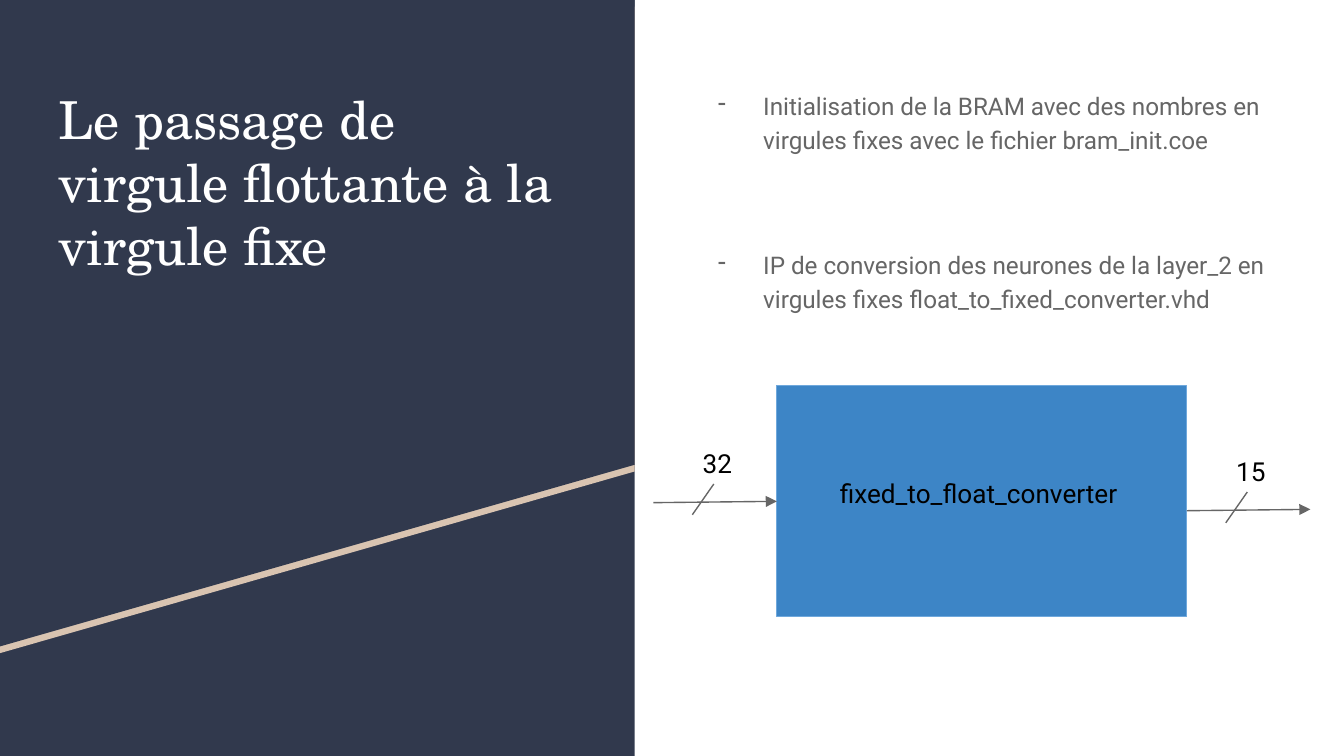
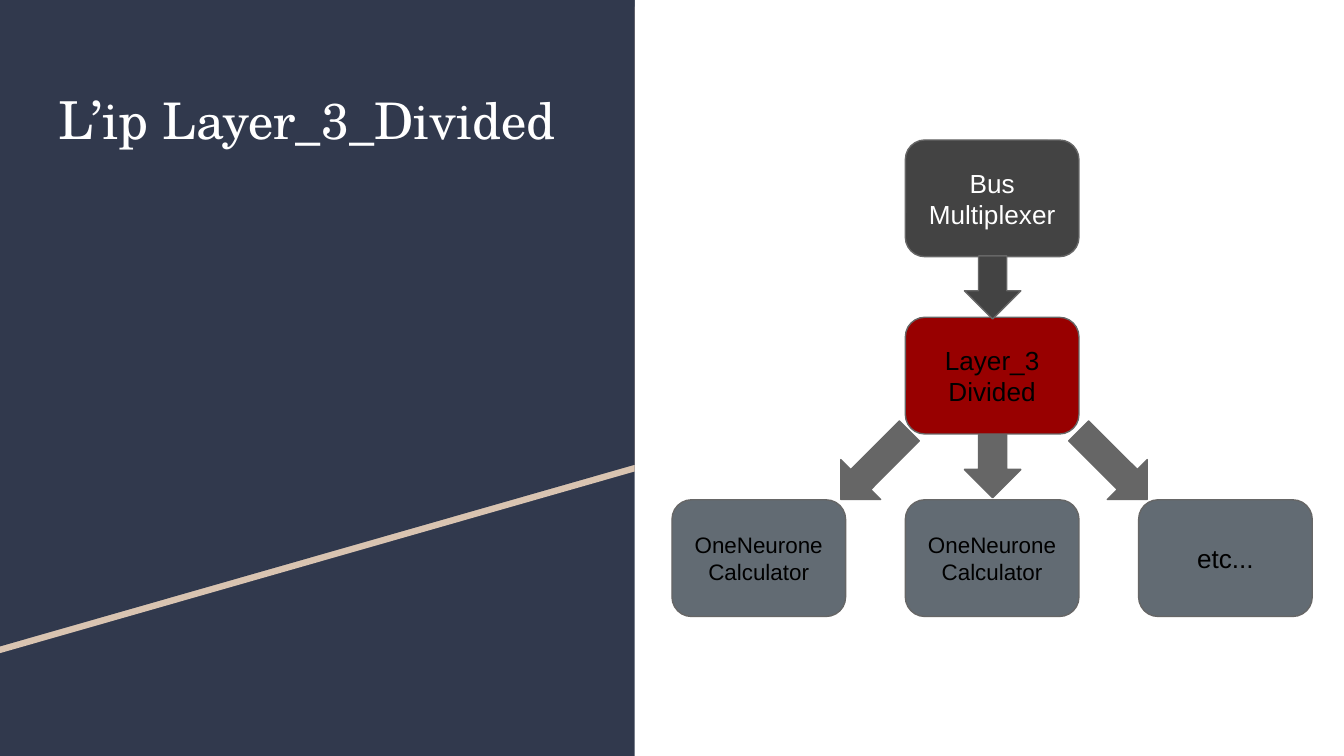
from dataclasses import dataclass

from lxml import etree
from pptx import Presentation
from pptx.dml.color import RGBColor
from pptx.enum.shapes import MSO_CONNECTOR, MSO_SHAPE
from pptx.enum.text import MSO_ANCHOR, PP_ALIGN
from pptx.oxml.ns import qn
from pptx.util import Pt

RECTANGLE = MSO_SHAPE.RECTANGLE
ROUNDED = MSO_SHAPE.ROUNDED_RECTANGLE
ARROW = MSO_SHAPE.RIGHT_ARROW
STRAIGHT = MSO_CONNECTOR.STRAIGHT
LEFT, CENTER = PP_ALIGN.LEFT, PP_ALIGN.CENTER
TOP, MIDDLE = MSO_ANCHOR.TOP, MSO_ANCHOR.MIDDLE

NAVY, SAND, WHITE, BLACK = "31394D", "D9C4B1", "FFFFFF", "000000"
GRAY, CHARCOAL, SLATE = "666666", "434343", "626B73"
RED, BLUE, LIGHT_BLUE = "980000", "3D85C6", "6FA8DC"

SLIDE_WIDTH, SLIDE_HEIGHT = 720, 405
PANEL_WIDTH = 340
PANEL_OUTLINE = [(0, 0), (PANEL_WIDTH, 0), (PANEL_WIDTH, 249), (0, 346.3)]
STRIPE_DROP = 3.6
INSET = 7.2
LINE_WIDTH = 0.75

BLOCK_WIDTH, BLOCK_HEIGHT = 93, 62.5
COLUMNS = [360 + 125 * index for index in range(3)]
ROWS = [75, 170, 267.75]
ARROW_HEIGHT = 30.25


@dataclass(frozen=True)
class TextStyle:
    font: str
    size: float
    color: str
    align: PP_ALIGN = LEFT
    anchor: MSO_ANCHOR = TOP


@dataclass(frozen=True)
class Span:
    text: str
    size: float


@dataclass(frozen=True)
class Signal:
    left: float
    top: float
    width: str


@dataclass(frozen=True)
class Block:
    column: int
    row: int
    lines: tuple[str, ...]
    fill: str
    color: str = BLACK
    size: float = 14


@dataclass(frozen=True)
class Flow:
    center_x: float
    center_y: float
    length: float
    rotation: float
    fill: str = GRAY


TITLE = TextStyle("TeX Gyre Schola", 28, WHITE)
BODY = TextStyle("Roboto", 13, GRAY)
LABEL = TextStyle("Roboto", 14, BLACK)

BULLETS = [
    "Initialisation de la BRAM avec des nombres en virgules fixes avec le fichier bram_init.coe",
    "IP de conversion des neurones de la layer_2 en virgules fixes float_to_fixed_converter.vhd",
]
BULLET_GAP = 49.3
SIGNALS = [Signal(350, 269.3, "32"), Signal(635.8, 273.6, "15")]

CALCULATOR = ("OneNeurone", "Calculator")
BLOCKS = [
    Block(1, 0, ("Bus Multiplexer",), CHARCOAL, WHITE),
    Block(1, 1, ("Layer_3 Divided",), RED),
    Block(0, 2, CALCULATOR, SLATE, size=12),
    Block(1, 2, CALCULATOR, SLATE, size=12),
    Block(2, 2, ("etc...",), SLATE),
]
FLOWS = [
    Flow(531.75, 154, 33.75, 90, CHARCOAL),
    Flow(531.75, 249.75, 33.75, 90),
    Flow(468.75, 249.25, 52, 135),
    Flow(596.25, 249.25, 52, 45),
]


def rgb(color: str) -> RGBColor:
    return RGBColor.from_string(color)


def paint(shape, fill: str, line: str | None = None) -> None:
    shape.shadow.inherit = False
    shape.fill.solid()
    shape.fill.fore_color.rgb = rgb(fill)
    if line:
        shape.line.color.rgb = rgb(line)
        shape.line.width = Pt(LINE_WIDTH)
    else:
        shape.line.fill.background()


def add_panel_outline(page, drop: float, fill: str) -> None:
    corners = [(Pt(x), Pt(y + drop)) for x, y in PANEL_OUTLINE]
    builder = page.shapes.build_freeform(*corners[0])
    builder.add_line_segments(corners[1:], close=True)
    paint(builder.convert_to_shape(), fill)


def prepare_frame(frame, style: TextStyle) -> None:
    frame.word_wrap = True
    frame.vertical_anchor = style.anchor
    frame.margin_left = frame.margin_right = Pt(INSET)
    frame.margin_top = frame.margin_bottom = Pt(INSET)


def style_paragraph(para, style: TextStyle) -> None:
    para.alignment = style.align
    para.font.name = style.font
    para.font.size = Pt(style.size)
    para.font.color.rgb = rgb(style.color)


def write_lines(frame, lines: tuple[str, ...], style: TextStyle) -> None:
    prepare_frame(frame, style)
    for index, line in enumerate(lines):
        para = frame.paragraphs[0] if index == 0 else frame.add_paragraph()
        para.add_run().text = line
        style_paragraph(para, style)


def add_text_frame(page, left: float, top: float, width: float, height: float):
    box = page.shapes.add_textbox(Pt(left), Pt(top), Pt(width), Pt(height))
    return box.text_frame


def add_page(deck, title: list[Span]):
    page = deck.slides.add_slide(deck.slide_layouts[6])
    panel = page.shapes.add_shape(RECTANGLE, 0, 0, Pt(PANEL_WIDTH), Pt(SLIDE_HEIGHT))
    paint(panel, NAVY)
    add_panel_outline(page, STRIPE_DROP, SAND)
    add_panel_outline(page, 0, NAVY)
    frame = add_text_frame(page, 24.5, 39.6, 291.6, 197.3)
    prepare_frame(frame, TITLE)
    para = frame.paragraphs[0]
    style_paragraph(para, TITLE)
    for span in title:
        run = para.add_run()
        run.text = span.text
        if span.size != TITLE.size:
            run.font.size = Pt(span.size)
    return page


def add_dash(para) -> None:
    properties = para._p.get_or_add_pPr()
    properties.set("marL", str(Pt(36)))
    properties.set("indent", str(-Pt(24.3)))
    bullet_color = etree.Element(qn("a:buClr"))
    etree.SubElement(bullet_color, qn("a:srgbClr")).set("val", GRAY)
    bullet = etree.Element(qn("a:buChar"))
    bullet.set("char", "-")
    position = list(properties).index(properties.find(qn("a:defRPr")))
    properties[position:position] = [bullet_color, bullet]


def add_bullets(page) -> None:
    frame = add_text_frame(page, 365.8, 39.6, 328.3, 322.6)
    write_lines(frame, tuple(BULLETS), BODY)
    for index, para in enumerate(frame.paragraphs):
        para.line_spacing = 1.15
        para.space_before = Pt(BULLET_GAP if index else 0)
        add_dash(para)


def add_line(page, start: tuple[float, float], end: tuple[float, float], arrow: bool = False) -> None:
    points = [Pt(value) for value in (*start, *end)]
    connector = page.shapes.add_connector(STRAIGHT, *points)
    connector.line.color.rgb = rgb(GRAY)
    connector.line.width = Pt(LINE_WIDTH)
    properties = connector.element.spPr
    if arrow:
        outline = properties.find(qn("a:ln"))
        etree.SubElement(outline, qn("a:tailEnd")).set("type", "triangle")
    etree.SubElement(properties, qn("a:effectLst"))


def add_signal(page, signal: Signal) -> None:
    x, y = signal.left, signal.top
    add_line(page, (x, y), (x + 66.2, y - 0.7), arrow=True)
    add_line(page, (x + 32.4, y - 10), (x + 20.9, y + 6.5))
    frame = add_text_frame(page, x + 19.4, y - 36.7, 33, 20)
    write_lines(frame, (signal.width,), LABEL)


def add_block(page, block: Block) -> None:
    shape = page.shapes.add_shape(
        ROUNDED,
        Pt(COLUMNS[block.column]),
        Pt(ROWS[block.row]),
        Pt(BLOCK_WIDTH),
        Pt(BLOCK_HEIGHT),
    )
    paint(shape, block.fill, GRAY)
    style = TextStyle("Arial", block.size, block.color, CENTER, MIDDLE)
    write_lines(shape.text_frame, block.lines, style)


def add_flow(page, flow: Flow) -> None:
    shape = page.shapes.add_shape(
        ARROW,
        Pt(flow.center_x - flow.length / 2),
        Pt(flow.center_y - ARROW_HEIGHT / 2),
        Pt(flow.length),
        Pt(ARROW_HEIGHT),
    )
    shape.rotation = flow.rotation
    paint(shape, flow.fill, GRAY)


def build_conversion_page(deck) -> None:
    page = add_page(deck, [Span("Le passage de virgule flottante à la virgule fixe", 28)])
    add_bullets(page)
    converter = page.shapes.add_shape(RECTANGLE, Pt(416), Pt(206.6), Pt(219.8), Pt(123.8))
    paint(converter, BLUE, LIGHT_BLUE)
    for signal in SIGNALS:
        add_signal(page, signal)
    frame = add_text_frame(page, 442.8, 248.4, 171.4, 54)
    write_lines(frame, ("fixed_to_float_converter",), LABEL)


def build_layer_page(deck) -> None:
    page = add_page(deck, [Span("L’ip ", 28), Span("Layer_3_Divided", 27)])
    for block in BLOCKS:
        add_block(page, block)
    for flow in FLOWS:
        add_flow(page, flow)


def main() -> None:
    deck = Presentation()
    deck.slide_width, deck.slide_height = Pt(SLIDE_WIDTH), Pt(SLIDE_HEIGHT)
    build_conversion_page(deck)
    build_layer_page(deck)
    deck.save("out.pptx")


if __name__ == "__main__":
    main()
